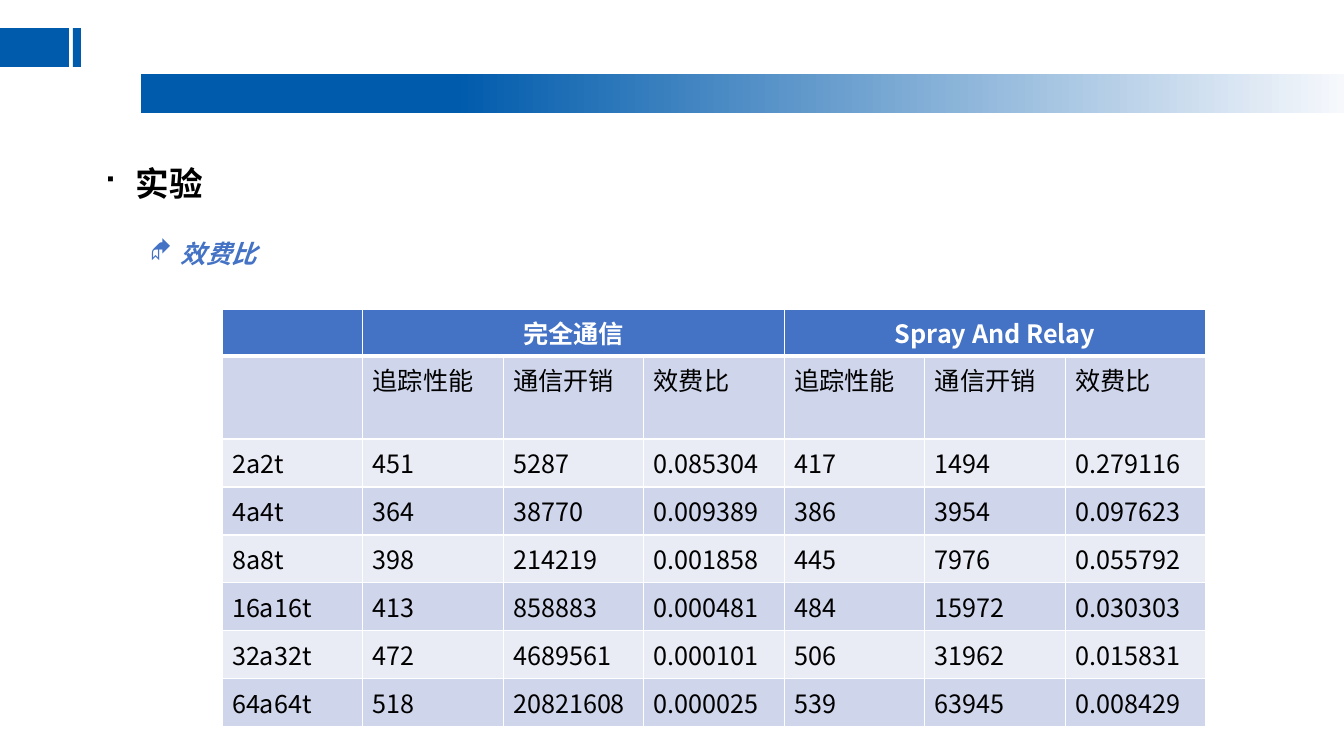
from copy import deepcopy
from dataclasses import dataclass

from lxml.etree import SubElement
from pptx import Presentation
from pptx.dml.color import RGBColor
from pptx.enum.shapes import MSO_SHAPE as Shape
from pptx.enum.text import MSO_ANCHOR as Anchor, PP_ALIGN as Align
from pptx.oxml.ns import qn
from pptx.util import Pt


@dataclass(frozen=True)
class Theme:
    font: str = "Noto Sans CJK SC"
    bullet_font: str = "Wingdings"
    brand: str = "005BAC"
    fade: str = "F6F8FC"
    accent: str = "4472C4"
    dark_band: str = "CFD5EA"
    light_band: str = "E9EBF5"
    white: str = "FFFFFF"
    black: str = "000000"
    heading_size: int = 24
    body_size: int = 18
    border: int = 1
    header_border: int = 3


THEME = Theme()
EMU_PER_PX = 914400 / 100.8

GROUPS = ["完全通信", "Spray And Relay"]
MEASURES = ["追踪性能", "通信开销", "效费比"]
RESULTS = [
    ["2a2t", "451", "5287", "0.085304", "417", "1494", "0.279116"],
    ["4a4t", "364", "38770", "0.009389", "386", "3954", "0.097623"],
    ["8a8t", "398", "214219", "0.001858", "445", "7976", "0.055792"],
    ["16a16t", "413", "858883", "0.000481", "484", "15972", "0.030303"],
    ["32a32t", "472", "4689561", "0.000101", "506", "31962", "0.015831"],
    ["64a64t", "518", "20821608", "0.000025", "539", "63945", "0.008429"],
]


def px(length):
    return round(length * EMU_PER_PX)


def rgb(color):
    return RGBColor.from_string(color)


def style_text(paragraph, size, color, bold=False, italic=False):
    for run in paragraph.runs:
        font = run.font
        font.name, font.size = THEME.font, Pt(size)
        font.bold, font.italic = bold, italic
        font.color.rgb = rgb(color)
        SubElement(font._element, qn("a:ea"), typeface=THEME.font)


def add_bullet(paragraph, symbol, indent):
    properties = paragraph._p.get_or_add_pPr()
    properties.set("marL", str(px(indent)))
    properties.set("indent", str(-px(indent)))
    SubElement(properties, qn("a:buFont"), typeface=THEME.bullet_font)
    SubElement(properties, qn("a:buChar"), char=symbol)


def add_rectangle(slide, left, top, width, height, color):
    shape = slide.shapes.add_shape(
        Shape.RECTANGLE, px(left), px(top), px(width), px(height))
    shape.shadow.inherit = False
    shape.line.fill.background()
    shape.fill.solid()
    shape.fill.fore_color.rgb = rgb(color)
    return shape


def add_fading_bar(slide, left, top, width, height):
    """Bar that stays solid for its first quarter, then fades to the right."""
    bar = add_rectangle(slide, left, top, width, height, THEME.brand)
    bar.fill.gradient()
    bar.fill.gradient_angle = 0
    stop_list = bar._element.spPr.find(qn("a:gradFill")).find(qn("a:gsLst"))
    stop_list.insert(0, deepcopy(stop_list[0]))
    stops = [(0, THEME.brand), (0.26, THEME.brand), (1, THEME.fade)]
    for stop, (position, color) in zip(bar.fill.gradient_stops, stops):
        stop.position = position
        stop.color.rgb = rgb(color)


def add_banner(slide, left, top, width):
    height = 39
    add_fading_bar(slide, left + 141, top + 46, width - 141, height)
    add_rectangle(slide, left, top, 69, height, THEME.brand)
    add_rectangle(slide, left + 73, top, 8, height, THEME.brand)


def add_heading(slide, left, top, width, height):
    box = slide.shapes.add_textbox(px(left), px(top), px(width), px(height))
    box.text_frame.word_wrap = True
    paragraph = box.text_frame.paragraphs[0]
    paragraph.text = "实验"
    paragraph.line_spacing = 1.5
    paragraph.space_before = Pt(10)
    add_bullet(paragraph, "■", 33)
    style_text(paragraph, THEME.heading_size, THEME.black, bold=True)


def add_subheading(slide, left, top, width, height):
    box = add_rectangle(slide, left, top, width, height, THEME.white)
    box.text_frame.word_wrap = True
    box.text_frame.vertical_anchor = Anchor.MIDDLE
    paragraph = box.text_frame.paragraphs[0]
    paragraph.text = "效费比"
    paragraph.alignment = Align.LEFT
    add_bullet(paragraph, "◆", 31)
    style_text(paragraph, THEME.body_size, THEME.accent, bold=True, italic=True)


def set_borders(cell, top, bottom):
    properties = cell._tc.get_or_add_tcPr()
    widths = {"L": THEME.border, "R": THEME.border, "T": top, "B": bottom}
    for side, width in widths.items():
        line = SubElement(properties, qn(f"a:ln{side}"), w=str(Pt(width)))
        fill = SubElement(line, qn("a:solidFill"))
        SubElement(fill, qn("a:srgbClr"), val=THEME.white)


def format_cell(cell, row_index):
    is_header = row_index == 0
    set_borders(
        cell,
        top=THEME.header_border if row_index == 1 else THEME.border,
        bottom=THEME.header_border if is_header else THEME.border)
    band = THEME.dark_band if row_index % 2 else THEME.light_band
    cell.fill.solid()
    cell.fill.fore_color.rgb = rgb(THEME.accent if is_header else band)
    paragraph = cell.text_frame.paragraphs[0]
    paragraph.alignment = Align.CENTER if is_header else Align.LEFT
    style_text(paragraph, THEME.body_size,
               THEME.white if is_header else THEME.black, bold=is_header)


def add_results_table(slide, left, top, width, height):
    span = len(MEASURES)
    header = [""]
    for group in GROUPS:
        header += [group] + [""] * (span - 1)
    rows = [header, [""] + MEASURES * len(GROUPS)] + RESULTS
    heights = [47, 83]
    heights += [(height - sum(heights)) // len(RESULTS)] * len(RESULTS)

    table = slide.shapes.add_table(
        len(rows), len(header), px(left), px(top), px(width), px(height)).table
    table.first_row = table.horz_banding = False
    for column in table.columns:
        column.width = px(width) // len(header)
    for row_index, values in enumerate(rows):
        table.rows[row_index].height = px(heights[row_index])
        for column_index, value in enumerate(values):
            cell = table.cell(row_index, column_index)
            cell.text_frame.text = value
            format_cell(cell, row_index)
    for first in range(1, len(header), span):
        table.cell(0, first).merge(table.cell(0, first + span - 1))


def main():
    presentation = Presentation()
    presentation.slide_width, presentation.slide_height = px(1344), px(756)
    slide = presentation.slides.add_slide(presentation.slide_layouts[6])
    add_banner(slide, 0, 28, 1344)
    add_heading(slide, 93, 138, 1019, 564)
    add_subheading(slide, 140, 233, 1101, 40)
    add_results_table(slide, 222, 309, 984, 418)
    presentation.save("out.pptx")


if __name__ == "__main__":
    main()
